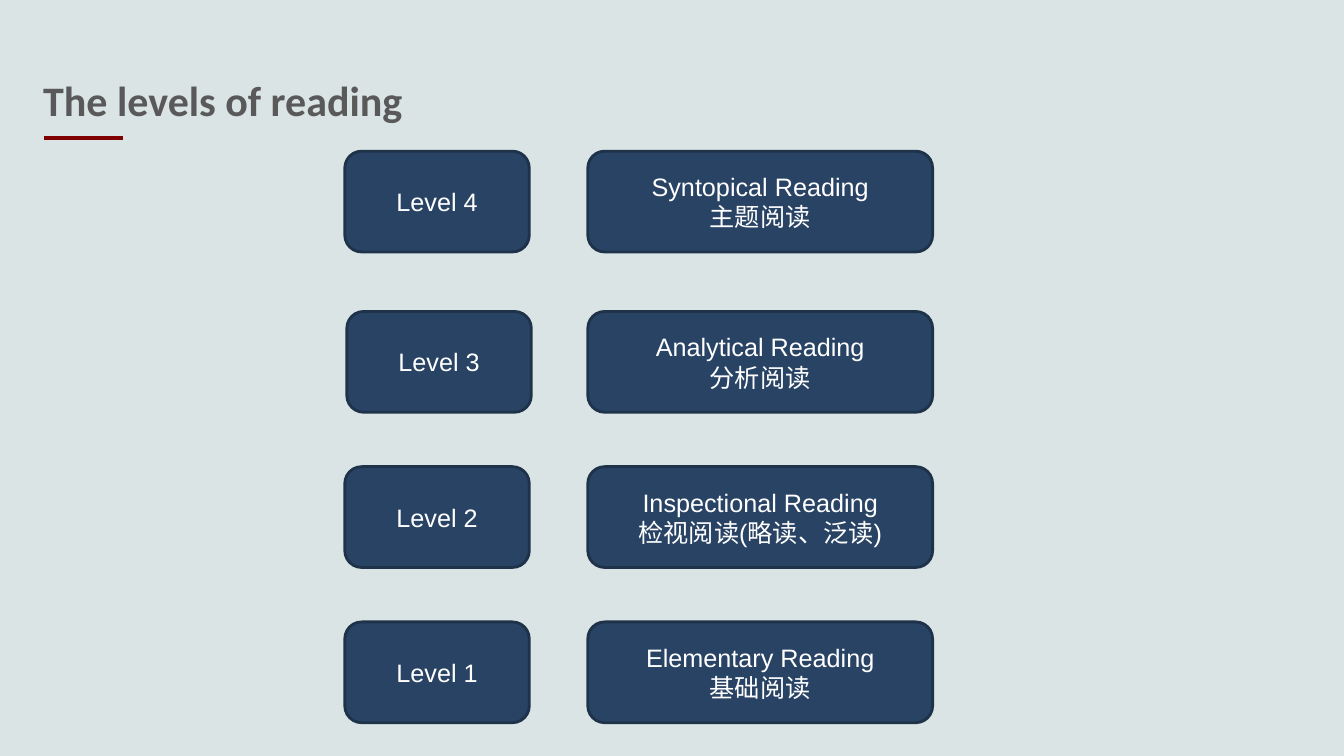
"""Build the slide that shows the four levels of reading."""
from lxml import etree
from pptx import Presentation
from pptx import util as u
from pptx.dml.color import RGBColor
from pptx.enum import shapes, text
from pptx.oxml.ns import qn

COLORS = {
    "background": "DAE4E5",
    "title": "595959",
    "accent": "800000",
    "box": "294364",
    "border": "1E324A",
    "label": "FFFFFF",
}
SLIDE_WIDTH, SLIDE_HEIGHT = 13.33, 7.5
LEVEL_COLUMN = (3.42, 1.83)
READING_COLUMN = (5.83, 3.42)
ROW_HEIGHT = 1
LEVEL_3_SHIFT = 0.02
LEVELS = [
    (1, 6.17, 0, "Elementary Reading", "基础阅读"),
    (2, 4.63, 0, "Inspectional Reading", "检视阅读(略读、泛读)"),
    (3, 3.09, LEVEL_3_SHIFT, "Analytical Reading", "分析阅读"),
    (4, 1.5, 0, "Syntopical Reading", "主题阅读"),
]


def color(name):
    """Return the named colour."""
    return RGBColor.from_string(COLORS[name])


def inches(*lengths):
    """Convert lengths in inches to slide units."""
    return [u.Inches(length) for length in lengths]


def style_font(font, name, size, color_name, bold=False):
    """Set the face, size, colour and weight of a font."""
    font.name = name
    font.size = u.Pt(size)
    font.bold = bold
    font.color.rgb = color(color_name)


def add_title(page, wording):
    """Add the heading of the slide."""
    box = page.shapes.add_textbox(*inches(0.33, 0.67, 12.56, 0.71))
    frame = box.text_frame
    frame.word_wrap = True
    frame.vertical_anchor = text.MSO_ANCHOR.MIDDLE
    para = frame.paragraphs[0]
    para.text = wording
    para.line_spacing = 0.9
    style_font(para.font, "Calibri", 30, "title", bold=True)


def add_accent(page):
    """Add the short rule under the heading."""
    rule = page.shapes.add_connector(
        shapes.MSO_CONNECTOR.STRAIGHT, *inches(0.44, 1.37, 1.22, 1.37)
    )
    rule.line.color.rgb = color("accent")
    rule.line.width = u.Pt(2.25)
    etree.SubElement(rule._element.spPr, qn("a:effectLst"))


def add_box(page, column, top, lines, shift=0):
    """Add a rounded box with centred lines in a column."""
    left, width = column
    box = page.shapes.add_shape(
        shapes.MSO_SHAPE.ROUNDED_RECTANGLE,
        *inches(left + shift, top, width, ROW_HEIGHT),
    )
    box.shadow.inherit = False
    box.fill.solid()
    box.fill.fore_color.rgb = color("box")
    box.line.color.rgb = color("border")
    box.line.width = u.Pt(2)
    frame = box.text_frame
    frame.word_wrap = True
    frame.vertical_anchor = text.MSO_ANCHOR.MIDDLE
    frame.text = "\n".join(lines)
    for para in frame.paragraphs:
        para.alignment = text.PP_ALIGN.CENTER
        style_font(para.font, "Arial", 18, "label")


def main():
    """Build and save the deck."""
    deck = Presentation()
    deck.slide_width, deck.slide_height = inches(SLIDE_WIDTH, SLIDE_HEIGHT)
    page = deck.slides.add_slide(deck.slide_layouts[6])
    page.background.fill.solid()
    page.background.fill.fore_color.rgb = color("background")
    add_accent(page)
    add_title(page, "The levels of reading")
    for number, top, shift, english, chinese in LEVELS:
        add_box(page, READING_COLUMN, top, [english, chinese])
        add_box(page, LEVEL_COLUMN, top, [f"Level {number}"], shift)
    deck.save("out.pptx")


if __name__ == "__main__":
    main()
